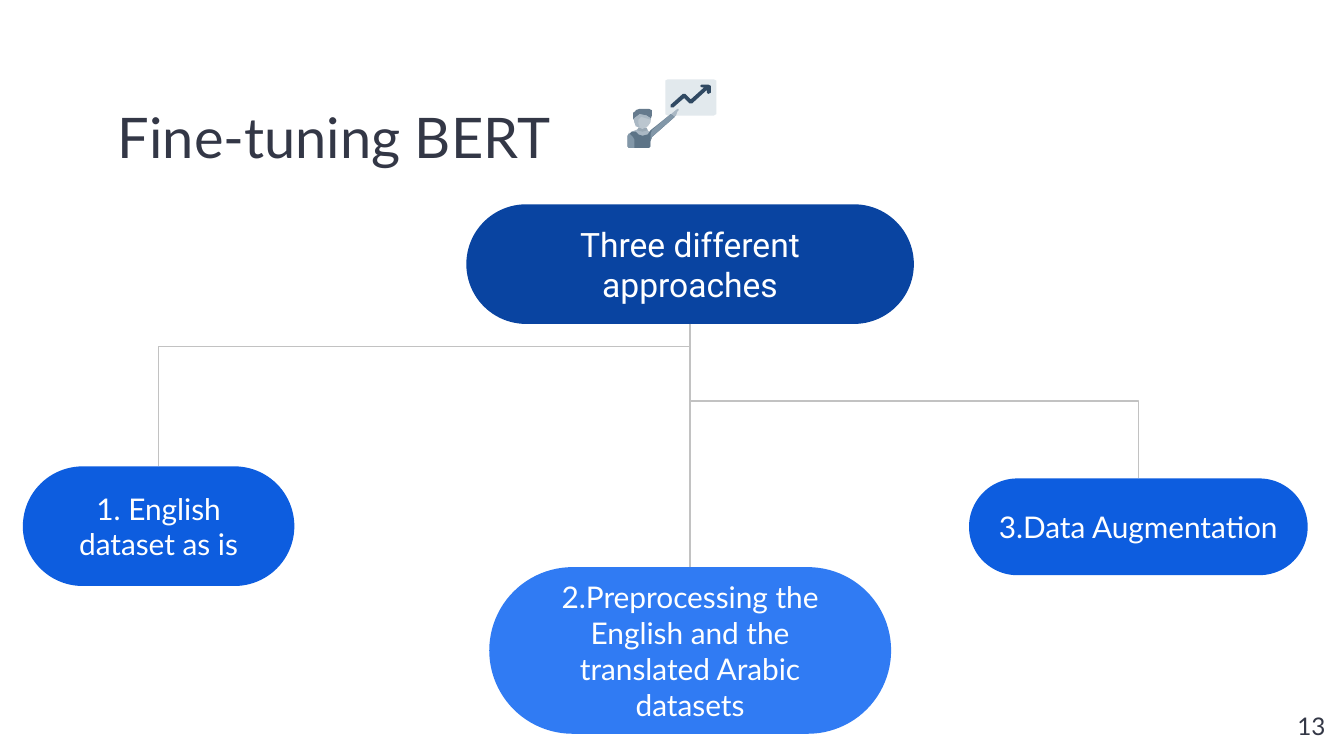
from lxml import etree
from pptx import Presentation
from pptx.dml.color import RGBColor
from pptx.enum import shapes, text
from pptx.oxml.ns import qn
from pptx.util import Inches, Pt

INK, WHITE, LINE = "333746", "FFFFFF", "C2C2C2"

# name: (left, top, width, height), fill, font, size, wording
PILLS = {
    "root": ((3.47, 1.52, 3.33, 0.89), "0944A1", "Roboto", 18, "Three different approaches"),
    "augmentation": ((7.21, 3.56, 2.52, 0.72), "0D5DDF", "Lato", 16, "3.Data Augmentation"),
    "english": ((0.17, 3.47, 2.02, 0.89), "0D5DDF", "Lato", 16, "1. English dataset as is"),
    "preprocessing": ((3.64, 4.22, 2.99, 1.24), "307BF3", "Lato", 16,
                      "2.Preprocessing the English and the translated Arabic datasets"),
}

# Presenter icon, back to front: fill and outline in hundredths of an inch
ICON = [
    ("E2E9ED", [(497, 59), (495, 60), (495, 85), (497, 86), (531, 86), (533, 85), (533, 60), (531, 59)]),
    ("AAB8C4", [(504, 81), (485, 97), (483, 98), (481, 96), (481, 95), (475, 95), (475, 96), (470, 98),
                (467, 101), (467, 109), (468, 110), (483, 110), (484, 109), (484, 105), (485, 102),
                (503, 86), (504, 83), (505, 82), (505, 81)]),
    ("99A8B4", [(475, 95), (474, 97), (478, 98), (482, 97), (481, 95)]),
    ("657A8D", [(474, 82), (471, 84), (471, 88), (473, 92), (476, 92), (476, 82)]),
    ("657A8D", [(476, 81), (473, 82), (473, 85), (475, 85), (483, 92), (485, 86), (485, 82), (483, 81)]),
    ("BBC6CF", [(476, 85), (472, 88), (472, 91), (474, 94), (478, 96), (482, 94), (484, 91), (484, 88),
                (481, 86)]),
    ("AAB8C4", [(476, 85), (472, 88), (472, 91), (473, 94), (476, 95), (475, 92), (475, 89), (477, 87),
                (484, 89), (484, 88), (481, 86)]),
    ("5D7487", [(499, 85), (484, 97), (482, 100), (478, 101), (475, 100), (473, 98), (470, 98),
                (467, 101), (467, 109), (468, 110), (483, 110), (484, 109), (484, 105), (485, 102),
                (502, 87)]),
    ("8297A8", [(468, 99), (467, 101), (467, 109), (468, 110), (472, 110), (472, 104), (471, 102)]),
    ("8297A8", [(499, 85), (485, 97), (484, 100), (484, 105), (485, 102), (502, 87)]),
    ("304962", [(522, 63), (521, 64), (522, 65), (524, 65), (514, 74), (510, 70), (508, 70), (499, 78),
                (499, 80), (501, 80), (509, 73), (513, 77), (515, 77), (526, 67), (526, 69), (527, 70),
                (529, 69), (529, 64), (527, 63)]),
]


def color(hex_string):
    return RGBColor.from_string(hex_string)


def paint(shape, fill):
    shape.shadow.inherit = False
    shape.fill.solid()
    shape.fill.fore_color.rgb = color(fill)
    shape.line.fill.background()


def write(shape, wording, font, size, ink, align, anchor=text.MSO_ANCHOR.TOP):
    frame = shape.text_frame
    frame.word_wrap = True
    frame.vertical_anchor = anchor
    frame.margin_left = frame.margin_right = frame.margin_top = frame.margin_bottom = Inches(0.1)
    paragraph = frame.paragraphs[0]
    paragraph.alignment = align
    run = paragraph.add_run()
    run.text = wording
    run.font.name, run.font.size = font, Pt(size)
    run.font.color.rgb = color(ink)
    return paragraph


def add_line(kind, start, end):
    connector = slide.shapes.add_connector(kind, *map(Inches, start + end))
    connector.line.color.rgb = color(LINE)
    connector.line.width = Pt(0.75)
    etree.SubElement(connector._element.spPr, qn("a:effectLst"))
    return connector


def add_vertical_elbow(start, end, preset):
    """Draw an elbow rightwards that leaves its start vertically."""
    connector = add_line(shapes.MSO_CONNECTOR.ELBOW, start, end)
    (x1, y1), (x2, y2) = start, end
    width, height = abs(y2 - y1), abs(x2 - x1)
    connector.left = Inches((x1 + x2 - width) / 2)
    connector.top = Inches((y1 + y2 - height) / 2)
    connector.width, connector.height = Inches(width), Inches(height)
    properties = connector._element.spPr
    frame = properties.find(qn("a:xfrm"))
    for flip in ("flipH", "flipV"):
        frame.attrib.pop(flip, None)
    frame.set("rot", str(270 * 60000))
    if y2 > y1:
        frame.set("flipH", "1")
    properties.find(qn("a:prstGeom")).set("prst", preset)


def top_middle(name):
    left, top, width, _ = PILLS[name][0]
    return left + width / 2, top


presentation = Presentation()
presentation.slide_width = Inches(10)
presentation.slide_height = presentation.slide_width * 9 // 16
slide = presentation.slides.add_slide(presentation.slide_layouts[6])

title = slide.shapes.add_textbox(*map(Inches, (0.78, 0.59, 8.44, 0.77)))
write(title, "Fine-tuning BERT", "Lato", 30, INK, text.PP_ALIGN.LEFT).line_spacing = 1.15
page_number = slide.shapes.add_textbox(*map(Inches, (9.36, 5.19, 0.6, 0.43)))
write(page_number, "13", "Lato", 13, INK, text.PP_ALIGN.RIGHT)

icon = slide.shapes.add_group_shape()
for fill, (first, *rest) in ICON:
    builder = icon.shapes.build_freeform(*first, scale=Inches(0.01))
    builder.add_line_segments(rest, close=True)
    paint(builder.convert_to_shape(), fill)

pills = {}
for name, (box, fill, font, size, wording) in PILLS.items():
    pill = slide.shapes.add_shape(shapes.MSO_SHAPE.ROUNDED_RECTANGLE, *map(Inches, box))
    pill.adjustments[0] = 0.5
    paint(pill, fill)
    write(pill, wording, font, size, WHITE, text.PP_ALIGN.CENTER, text.MSO_ANCHOR.MIDDLE)
    pills[name] = pill

root_x, root_top = top_middle("root")
root_bottom = (root_x, root_top + PILLS["root"][0][3])
add_vertical_elbow(root_bottom, top_middle("augmentation"), "bentConnector3")
add_vertical_elbow(top_middle("english"), (root_x, 2.58), "bentConnector2")
trunk = add_line(shapes.MSO_CONNECTOR.STRAIGHT, root_bottom, top_middle("preprocessing"))
trunk.begin_connect(pills["root"], 2)
trunk.end_connect(pills["preprocessing"], 0)

presentation.save("out.pptx")
